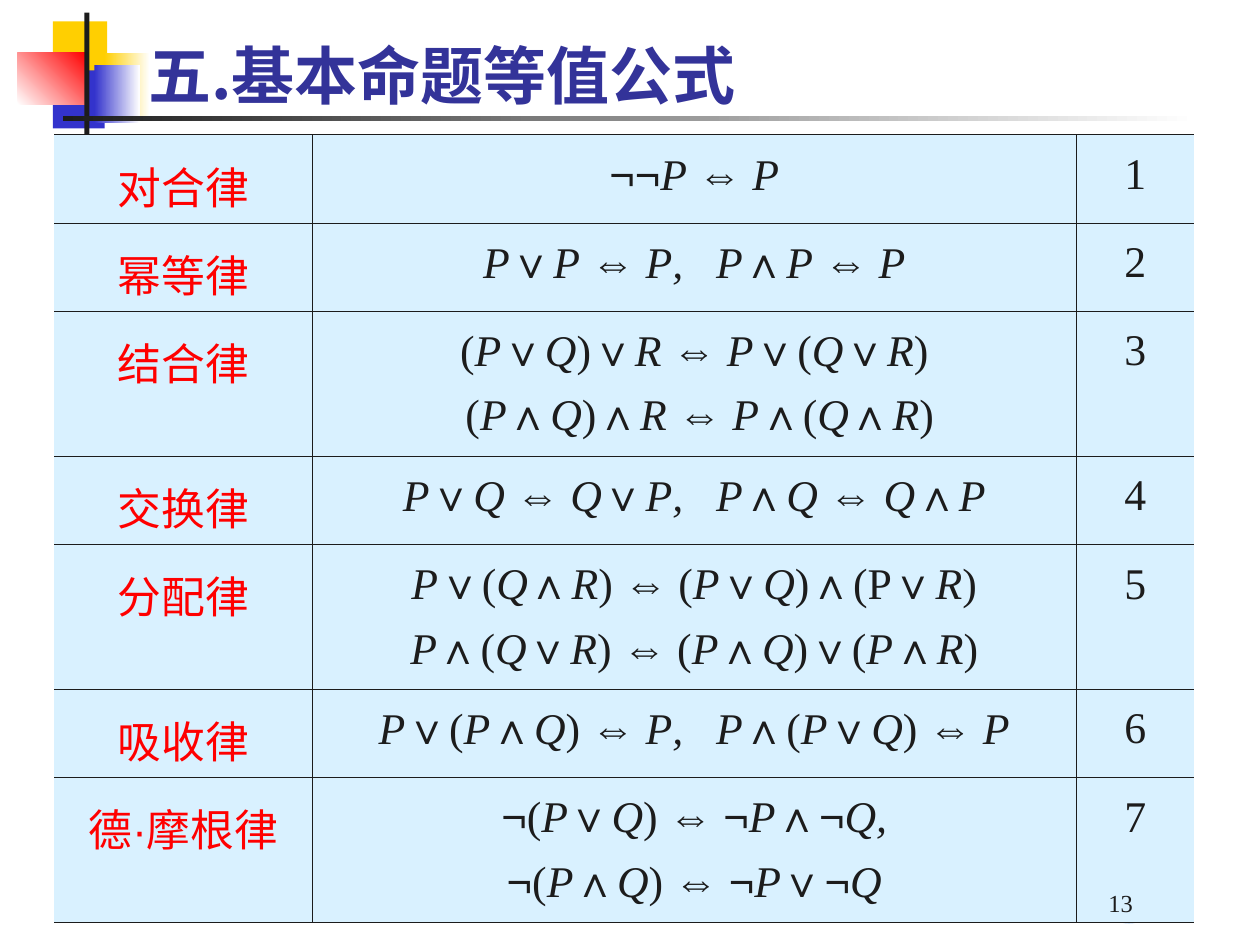
from itertools import groupby

from lxml import etree
from pptx import Presentation
from pptx import util as u
from pptx.dml.color import RGBColor
from pptx.enum import shapes, text
from pptx.oxml.ns import qn

HUE = {"ink": "1C1C1C", "gold": "FFCF01", "blue": "3333CC", "red": "FF0000",
       "white": "FFFFFF", "title": "333399", "pale": "D9F1FF", "dot": "B2D1F4"}
SERIF, SANS, HAN = "Times New Roman", "Arial", "Noto Sans CJK SC"
SIGNS = "∨∧⇔¬·"
GAP = 12.5  # points added after a comma between two formulas

# Name of each law and its formulas; a small p is an upright P
LAWS = [
    ("对合律", ["¬¬P ⇔ P"]),
    ("幂等律", ["P∨P ⇔ P, P∧P ⇔ P"]),
    ("结合律", ["(P∨Q)∨R ⇔ P∨(Q∨R)", " (P∧Q)∧R ⇔ P∧(Q∧R)"]),
    ("交换律", ["P∨Q ⇔ Q∨P, P∧Q ⇔ Q∧P"]),
    ("分配律", ["P∨(Q∧R) ⇔ (P∨Q)∧(p∨R)", "P∧(Q∨R) ⇔ (P∧Q)∨(P∧R)"]),
    ("吸收律", ["P∨(P∧Q) ⇔ P, P∧(P∨Q) ⇔ P"]),
    ("德·摩根律", ["¬(P∨Q) ⇔ ¬P∧¬Q,", "¬(P∧Q) ⇔ ¬P∨¬Q"]),
]


def rgb(name):
    return RGBColor.from_string(HUE[name])


def write(para, words, size=25, font=SERIF, hue="ink", bold=False,
          slant=False, gap=0, han=False):
    """Add one run of text with its format."""
    run = para.add_run()
    run.text = words
    face = run.font
    face.size, face.name = u.Pt(size), font
    face.bold, face.italic = bold, slant
    face.color.rgb = rgb(hue)
    props = run._r.get_or_add_rPr()
    if gap:
        props.set("spc", str(int(gap * 100)))
    if han:
        etree.SubElement(props, qn("a:ea")).set("typeface", HAN)


def kind(char):
    """Sort a character into sign, letter, comma or plain."""
    if char in SIGNS:
        return "sign"
    if char in "PQR":
        return "letter"
    return "comma" if char == "," else "plain"


def formula(para, words, **form):
    for sort, chars in groupby(words, kind):
        write(para, "".join(chars).replace("p", "P"),
              font=SANS if sort == "sign" else SERIF,
              slant=sort in ("letter", "comma"),
              gap=GAP if sort == "comma" else 0, **form)


def block(slide, box, hue, end=None, angle=0, form=shapes.MSO_SHAPE.RECTANGLE):
    """Add a plain shape, shaded from hue to end if end is given."""
    shape = slide.shapes.add_shape(form, *map(u.Inches, box))
    shape.shadow.inherit = False
    shape.line.fill.background()
    if end:
        shape.fill.gradient()
        shape.fill.gradient_angle = angle
        for stop, name in zip(shape.fill.gradient_stops, (hue, end)):
            stop.color.rgb = rgb(name)
    else:
        shape.fill.solid()
        shape.fill.fore_color.rgb = rgb(hue)


def label(slide, box, words, align, anchor, **form):
    frame = slide.shapes.add_textbox(*map(u.Inches, box)).text_frame
    frame.word_wrap = True
    frame.vertical_anchor = anchor
    frame.paragraphs[0].alignment = align
    write(frame.paragraphs[0], words, **form)


def motif(slide, left, top):
    """Coloured squares with a cross of two dark bars."""
    parts = [
        ((0.28, 0.07, 0.43, 0.46), "gold", None, 0),
        ((0.69, 0.32, 0.36, 0.52), "gold", "white", 0),
        ((0.28, 0.46, 0.41, 0.46), "blue", None, 0),
        ((0.61, 0.42, 0.36, 0.46), "blue", "white", 0),
        ((0, 0.32, 0.55, 0.41), "white", "red", 45),
        ((0.53, 0, 0.04, 1.03), "ink", None, 0),
        ((0.36, 0.82, 9, 0.04), "ink", "white", 0),
    ]
    for (x, y, wide, high), hue, end, angle in parts:
        block(slide, (left + x, top + y, wide, high), hue, end, angle)


def border(cell, sides):
    props = cell._tc.get_or_add_tcPr()
    for side in "LRTB":
        line = etree.SubElement(props, qn("a:ln" + side))
        line.set("w", str(int(u.Pt(0.45))))
        if side in sides:
            fill = etree.SubElement(line, qn("a:solidFill"))
            etree.SubElement(fill, qn("a:srgbClr")).set("val", HUE["ink"])
        else:
            etree.SubElement(line, qn("a:noFill"))


def laws(slide, left, top):
    """Table of laws: name, formulas, number."""
    cols = [2.05, 6.06, 0.94]
    rows = [0.7 if len(lines) == 1 else 1.15 for _, lines in LAWS]
    box = (left, top, sum(cols), sum(rows))
    table = slide.shapes.add_table(len(rows), len(cols),
                                   *map(u.Inches, box)).table
    table.first_row = table.horz_banding = False
    for col, wide in zip(table.columns, cols):
        col.width = u.Inches(wide)
    for num, (name, lines) in enumerate(LAWS):
        table.rows[num].height = u.Inches(rows[num])
        items = [[name], lines, [str(num + 1)]]
        for cell, item, sides in zip(table.rows[num].cells, items,
                                     ("RTB", "LRTB", "LTB")):
            border(cell, sides)
            cell.fill.solid()
            cell.fill.fore_color.rgb = rgb("pale")
            frame = cell.text_frame
            for spot, words in enumerate(item):
                para = frame.add_paragraph() if spot else frame.paragraphs[0]
                para.alignment = text.PP_ALIGN.CENTER
                para.line_spacing = 1.2
                para.space_before = u.Pt(6.2 / len(item))
                if item[0] == name:
                    formula(para, words, hue="red", han=True)
                else:
                    formula(para, words)


def main():
    deck = Presentation()
    deck.slide_width, deck.slide_height = u.Inches(10), u.Inches(7.5)
    slide = deck.slides.add_slide(deck.slide_layouts[6])
    # Background marks
    block(slide, (8.75, 7, 0.42, 0.33), "dot", form=shapes.MSO_SHAPE.OVAL)
    motif(slide, 0.14, 0.1)
    # Title
    label(slide, (1.08, 0.25, 8.52, 0.68), "五.基本命题等值公式",
          text.PP_ALIGN.LEFT, text.MSO_ANCHOR.MIDDLE,
          size=36, font=HAN, hue="title", bold=True, han=True)
    # Table and page number
    laws(slide, 0.43, 1.07)
    label(slide, (7.01, 6.83, 2.08, 0.5), "13",
          text.PP_ALIGN.RIGHT, text.MSO_ANCHOR.BOTTOM, size=14)
    deck.save("out.pptx")


if __name__ == "__main__":
    main()
